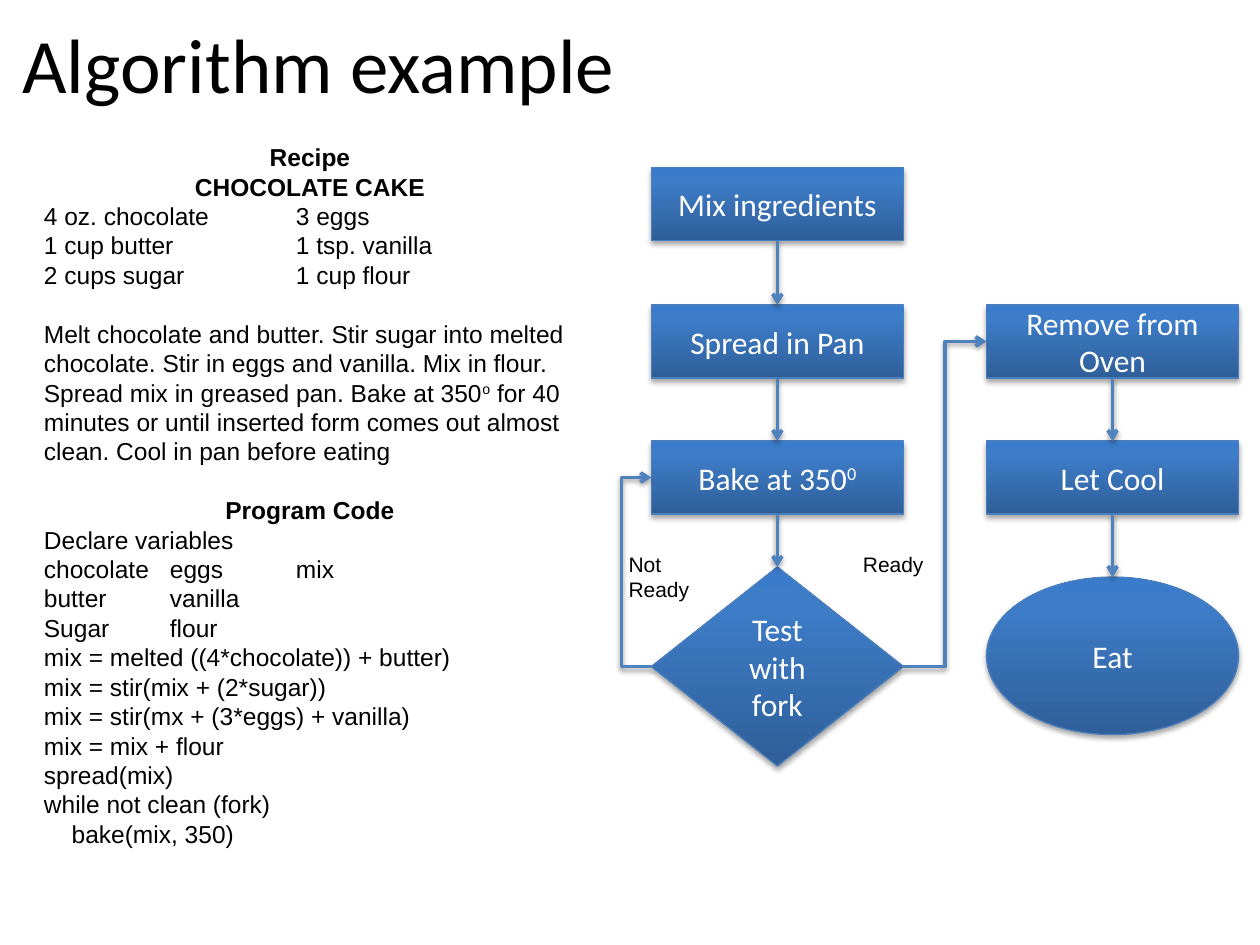
from copy import deepcopy
from dataclasses import dataclass

from lxml.etree import SubElement
from pptx import Presentation
from pptx.dml.color import RGBColor
from pptx.enum.shapes import MSO_CONNECTOR, MSO_SHAPE
from pptx.enum.text import MSO_ANCHOR, PP_ALIGN
from pptx.oxml.ns import qn
from pptx.util import Inches, Pt


@dataclass(frozen=True)
class Theme:
    heading_font: str = "Calibri"
    body_font: str = "Arial"
    title_size: int = 44
    step_size: int = 18
    recipe_size: int = 14
    label_size: int = 12
    text: str = "000000"
    step_text: str = "FFFFFF"
    step_gradient: tuple = ((0, "2F5F99"), (0.8, "3D7CC7"), (1, "3A7CCB"))
    step_line: str = "4B7EBC"
    arrow: str = "4F81BD"
    shadow: str = "000000"


THEME = Theme()

TITLE = "Algorithm example"
TITLE_BOX = (0.08, 0.08, 9.75, 0.95)
RECIPE_BOX = (0.25, 1.08, 4.42, 5.76)

# Each line: runs (text, or a tuple for superscript) and its paragraph style
HEADING, SECTION, PLAIN, SPACED, INDENTED = range(5)
RECIPE = [
    (["Recipe"], HEADING),
    (["CHOCOLATE CAKE"], HEADING),
    (["4 oz. chocolate\t3 eggs"], PLAIN),
    (["1 cup butter\t1 tsp. vanilla"], PLAIN),
    (["2 cups sugar\t1 cup flour"], PLAIN),
    (["Melt chocolate and butter. Stir sugar into melted chocolate. "
      "Stir in eggs and vanilla. Mix in flour. Spread mix in greased pan. "
      "Bake at 350", ("o",), " for 40 minutes or until inserted form comes "
      "out almost clean. Cool in pan before eating"], SPACED),
    (["Program Code"], SECTION),
    (["Declare variables"], PLAIN),
    (["chocolate\teggs\tmix"], PLAIN),
    (["butter\tvanilla"], PLAIN),
    (["Sugar\tflour"], PLAIN),
    (["mix = melted ((4*chocolate)) + butter)"], PLAIN),
    (["mix = stir(mix + (2*sugar))"], PLAIN),
    (["mix = stir(mx + (3*eggs) + vanilla)"], PLAIN),
    (["mix = mix + flour"], PLAIN),
    (["spread(mix)"], PLAIN),
    (["while not clean (fork)"], PLAIN),
    (["bake(mix, 350)"], INDENTED),
]
BLANK_LINE = 16.8
CODE_INDENT = 0.22
TAB_STOPS = (1, 2)

LEFT_COLUMN, RIGHT_COLUMN = 5.17, 7.83
STEP_WIDTH, STEP_HEIGHT = 2, 0.58
# name: (runs, preset shape, left, top, height)
STEPS = {
    "mix": (["Mix ingredients"], MSO_SHAPE.RECTANGLE, LEFT_COLUMN, 1.33, STEP_HEIGHT),
    "spread": (["Spread in Pan"], MSO_SHAPE.RECTANGLE, LEFT_COLUMN, 2.42, STEP_HEIGHT),
    "bake": (["Bake at 350", ("0",)], MSO_SHAPE.RECTANGLE, LEFT_COLUMN, 3.5, STEP_HEIGHT),
    "test": (["Test with fork"], MSO_SHAPE.DIAMOND, LEFT_COLUMN, 4.5, 1.58),
    "remove": (["Remove from Oven"], MSO_SHAPE.RECTANGLE, RIGHT_COLUMN, 2.42, STEP_HEIGHT),
    "cool": (["Let Cool"], MSO_SHAPE.RECTANGLE, RIGHT_COLUMN, 3.5, STEP_HEIGHT),
    "eat": (["Eat"], MSO_SHAPE.OVAL, RIGHT_COLUMN, 4.58, 1.25),
}
TOP, LEFT, BOTTOM, RIGHT = range(4)
STRAIGHT_ARROWS = [("mix", "spread"), ("spread", "bake"), ("bake", "test"),
                   ("remove", "cool"), ("cool", "eat")]
LOOP_REACH, LOOP_WIDTH = 0.25, 0.01
BRANCH_LABELS = [(["Not", "Ready"], (4.89, 4.33, 0.69, 0.5)),
                 (["Ready"], (6.75, 4.33, 0.69, 0.3))]


def color(value):
    return RGBColor.from_string(value)


def fill_paragraph(paragraph, runs, font, size, text_color, bold=False):
    formats = {"name": font, "size": Pt(size), "bold": bold}
    for part in runs:
        run = paragraph.add_run()
        run.text = part if isinstance(part, str) else part[0]
        for name, value in formats.items():
            setattr(run.font, name, value)
        run.font.color.rgb = color(text_color)
        if not isinstance(part, str):
            run.font._element.set("baseline", "30000")


def add_text_box(slide, box, wrap=True):
    frame = slide.shapes.add_textbox(*map(Inches, box)).text_frame
    frame.word_wrap = wrap
    return frame


def paragraphs_for(frame, lines):
    """Yield each line with its paragraph, starting with the frame's first."""
    for index, line in enumerate(lines):
        yield (frame.add_paragraph() if index else frame.paragraphs[0]), line


def add_shadow(shape, opacity, distance):
    effects = SubElement(shape._element.spPr, qn("a:effectLst"))
    outer = SubElement(effects, qn("a:outerShdw"), blurRad=str(Pt(3.1)),
                       dist=str(Pt(distance)), dir="5400000", rotWithShape="0")
    shade = SubElement(outer, qn("a:srgbClr"), val=THEME.shadow)
    SubElement(shade, qn("a:alpha"), val=str(opacity * 1000))


def apply_gradient(shape):
    shape.fill.gradient()
    stop_list = shape._element.spPr.find(".//" + qn("a:gsLst"))
    stop_list.append(deepcopy(stop_list[-1]))
    for stop, (position, value) in zip(shape.fill.gradient_stops, THEME.step_gradient):
        stop.position = position
        stop.color.rgb = color(value)
    shape.fill.gradient_angle = 90


def add_step(slide, runs, preset, left, top, height):
    shape = slide.shapes.add_shape(
        preset, *map(Inches, (left, top, STEP_WIDTH, height)))
    apply_gradient(shape)
    shape.line.color.rgb = color(THEME.step_line)
    shape.line.width = Pt(0.75)
    add_shadow(shape, 35, 1.8)
    frame = shape.text_frame
    frame.word_wrap = True
    frame.vertical_anchor = MSO_ANCHOR.MIDDLE
    frame.paragraphs[0].alignment = PP_ALIGN.CENTER
    fill_paragraph(frame.paragraphs[0], runs, THEME.heading_font,
                   THEME.step_size, THEME.step_text)
    return shape


def add_arrow(slide, kind, start=(0, 0), end=(0, 0)):
    arrow = slide.shapes.add_connector(kind, *start, *end)
    arrow.line.color.rgb = color(THEME.arrow)
    arrow.line.width = Pt(2)
    SubElement(arrow.line._get_or_add_ln(), qn("a:tailEnd"), type="arrow")
    add_shadow(arrow, 38, 1.6)
    return arrow


def join(slide, kind, source, source_side, target, target_side):
    arrow = add_arrow(slide, kind)
    arrow.begin_connect(source, source_side)
    arrow.end_connect(target, target_side)


def add_loop_back(slide, source, target):
    """Arrow bulging left from the source's left side to the target's."""
    start = (source.left + Inches(LOOP_WIDTH), source.top + source.height // 2)
    end = (target.left, target.top + target.height // 2)
    arrow = add_arrow(slide, MSO_CONNECTOR.ELBOW, start, end)
    adjustments = arrow._element.spPr.find(".//" + qn("a:avLst"))
    bend = round(LOOP_REACH / LOOP_WIDTH * 100000)
    SubElement(adjustments, qn("a:gd"), name="adj1", fmla=f"val {bend}")


def add_recipe(slide):
    frame = add_text_box(slide, RECIPE_BOX)
    for paragraph, (runs, style) in paragraphs_for(frame, RECIPE):
        heading = style in (HEADING, SECTION)
        paragraph.alignment = PP_ALIGN.CENTER if heading else PP_ALIGN.LEFT
        if style in (SECTION, SPACED):
            paragraph.space_before = Pt(BLANK_LINE)
        properties = paragraph._p.get_or_add_pPr()
        if style == INDENTED:
            properties.set("marL", str(Inches(CODE_INDENT)))
        if "\t" in runs[0]:
            tabs = SubElement(properties, qn("a:tabLst"))
            for stop in TAB_STOPS:
                SubElement(tabs, qn("a:tab"), pos=str(Inches(stop)), algn="l")
        fill_paragraph(paragraph, runs, THEME.body_font, THEME.recipe_size,
                       THEME.text, heading)
        if runs[0].count("\t") == 1 and runs[0][0].isdigit():
            tabs.remove(tabs[0])  # ingredient amounts use only the wide column


def main():
    presentation = Presentation()
    presentation.slide_width, presentation.slide_height = Inches(10), Inches(7.5)
    slide = presentation.slides.add_slide(presentation.slide_layouts[6])
    title = add_text_box(slide, TITLE_BOX)
    fill_paragraph(title.paragraphs[0], [TITLE], THEME.heading_font,
                   THEME.title_size, THEME.text)
    steps = {name: add_step(slide, *step) for name, step in STEPS.items()}
    for source, target in STRAIGHT_ARROWS:
        join(slide, MSO_CONNECTOR.STRAIGHT, steps[source], BOTTOM, steps[target], TOP)
    add_loop_back(slide, steps["test"], steps["bake"])
    join(slide, MSO_CONNECTOR.ELBOW, steps["test"], RIGHT, steps["remove"], LEFT)
    for lines, box in BRANCH_LABELS:
        frame = add_text_box(slide, box, wrap=False)
        for paragraph, line in paragraphs_for(frame, lines):
            fill_paragraph(paragraph, [line], THEME.body_font, THEME.label_size, THEME.text)
    add_recipe(slide)
    presentation.save("out.pptx")


if __name__ == "__main__":
    main()
